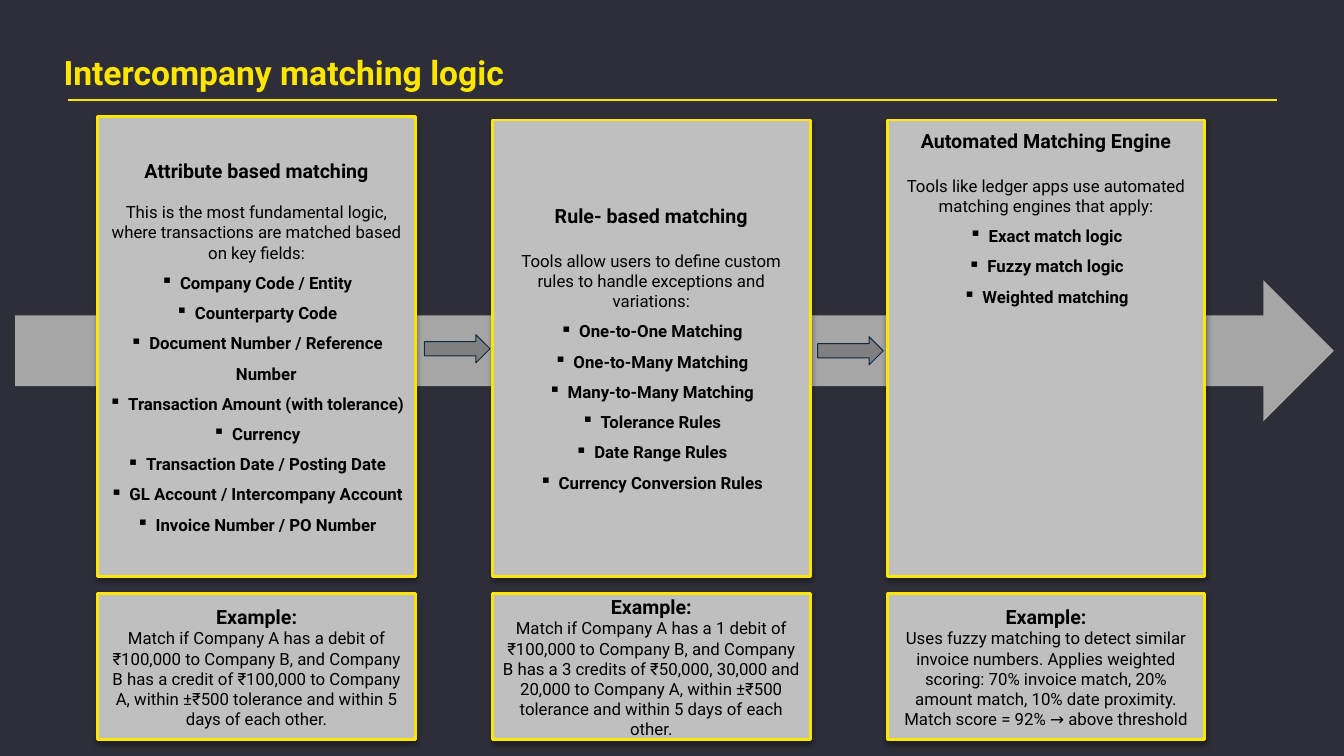
from lxml import etree
from pptx import Presentation
from pptx.dml.color import RGBColor
from pptx.enum.shapes import MSO_CONNECTOR, MSO_SHAPE
from pptx.enum.text import MSO_ANCHOR, MSO_AUTO_SIZE, PP_ALIGN
from pptx.oxml.ns import qn
from pptx.util import Inches, Pt

RECT, ARROW = MSO_SHAPE.RECTANGLE, MSO_SHAPE.RIGHT_ARROW
TOP, MIDDLE = MSO_ANCHOR.TOP, MSO_ANCHOR.MIDDLE
LEFT, CENTER = PP_ALIGN.LEFT, PP_ALIGN.CENTER
STRAIGHT, NO_FIT = MSO_CONNECTOR.STRAIGHT, MSO_AUTO_SIZE.NONE

FONT = "Roboto"
COLORS = {
    "back": "2E2E38", "accent": "FFE600", "card": "BFBFBF", "text": "000000",
    "band": "A6A6A6", "arrow": "808080", "edge": "0E2841",
}
TITLE = "Intercompany matching logic"
STEPS = [
    {
        "head": "Attribute based matching",
        "intro": "This is the most fundamental logic, where transactions are "
                 "matched based on key fields:",
        "items": [
            "Company Code / Entity", "Counterparty Code",
            "Document Number / Reference Number",
            "Transaction Amount (with tolerance)", "Currency",
            "Transaction Date / Posting Date",
            "GL Account / Intercompany Account", "Invoice Number / PO Number",
        ],
        "example": "Match if Company A has a debit of ₹100,000 to Company B, and "
                   "Company B has a credit of ₹100,000 to Company A, within ±₹500 "
                   "tolerance and within 5 days of each other.",
        "top": 1.16, "gap": 14, "anchor": MIDDLE,
    },
    {
        "head": "Rule- based matching",
        "intro": "Tools allow users to define custom rules to handle exceptions "
                 "and variations:",
        "items": [
            "One-to-One Matching", "One-to-Many Matching",
            "Many-to-Many Matching", "Tolerance Rules", "Date Range Rules",
            "Currency Conversion Rules",
        ],
        "example": "Match if Company A has a 1 debit of ₹100,000 to Company B, and "
                   "Company B has a 3 credits of ₹50,000, 30,000 and 20,000 to "
                   "Company A, within ±₹500 tolerance and within 5 days of each "
                   "other.",
        "top": 1.19, "gap": 16.4, "anchor": MIDDLE,
    },
    {
        "head": "Automated Matching Engine",
        "intro": "Tools like ledger apps use automated matching engines that apply:",
        "items": ["Exact match logic", "Fuzzy match logic", "Weighted matching"],
        "example": "Uses fuzzy matching to detect similar invoice numbers. Applies "
                   "weighted scoring: 70% invoice match, 20% amount match, 10% date "
                   "proximity. Match score = 92% → above threshold",
        "top": 1.19, "gap": 16.4, "anchor": TOP,
    },
]
CARD_X, CARD_W, PITCH = 0.97, 3.15, 3.915
CARD_END, CASE_TOP, CASE_H = 5.72, 5.89, 1.45
ARROWS = [(4.21, 3.32), (8.11, 3.34)]


def color(name):
    return RGBColor.from_string(COLORS[name])


def add_text(para, text, size, bold, tint="text"):
    run = para.add_run()
    run.text = text
    font = run.font
    font.name, font.size, font.bold = FONT, Pt(size), bold
    font.color.rgb = color(tint)


def add_bullet(para):
    props = para._p.get_or_add_pPr()
    props.set("marL", str(Inches(0.19)))
    props.set("indent", str(-Inches(0.19)))
    etree.SubElement(props, qn("a:buChar")).set("char", "▪")
    para.line_spacing = 1.5


def add_shape(kind, x, y, w, h, fill, edge=None, width=0):
    shape = slide.shapes.add_shape(kind, Inches(x), Inches(y), Inches(w), Inches(h))
    shape.shadow.inherit = False
    shape.fill.solid()
    shape.fill.fore_color.rgb = color(fill)
    if edge:
        shape.line.color.rgb = color(edge)
        shape.line.width = Pt(width)
    else:
        shape.line.fill.background()
    return shape


def add_shadow(shape):
    effects = shape._element.spPr.find(qn("a:effectLst"))
    outer = etree.SubElement(effects, qn("a:outerShdw"), blurRad=str(Pt(3.5)),
                             dist=str(Pt(2.2)), dir="5400000", rotWithShape="0")
    tint = etree.SubElement(outer, qn("a:srgbClr"), val=COLORS["text"])
    etree.SubElement(tint, qn("a:alpha"), val="32000")


def add_card(x, y, h, anchor, lines):
    """Draw a card; each line is (text, size, bold, space before, bulleted)."""
    card = add_shape(RECT, x, y, CARD_W, h, "card", "accent", 2)
    add_shadow(card)
    frame = card.text_frame
    frame.word_wrap = True
    frame.vertical_anchor = anchor
    frame.margin_left = frame.margin_right = Inches(0.09)
    frame.margin_top = frame.margin_bottom = Inches(0.09)
    for i, (text, size, bold, gap, listed) in enumerate(lines):
        para = frame.add_paragraph() if i else frame.paragraphs[0]
        para.alignment = CENTER
        if listed:
            add_bullet(para)
        if gap:
            para.space_before = Pt(gap)
        add_text(para, text, size, bold)


deck = Presentation()
deck.slide_width, deck.slide_height = Inches(13.33), Inches(7.5)
slide = deck.slides.add_slide(deck.slide_layouts[5])
slide.background.fill.solid()
slide.background.fill.fore_color.rgb = color("back")

title = slide.shapes.title
title.left, title.top = Inches(0.63), Inches(0.51)
title.width, title.height = Inches(12.67), Inches(0.65)
frame = title.text_frame
frame.auto_size, frame.word_wrap, frame.vertical_anchor = NO_FIT, True, TOP
frame.margin_left = frame.margin_right = frame.margin_top = frame.margin_bottom = 0
frame.paragraphs[0].alignment = LEFT
add_text(frame.paragraphs[0], TITLE, 24, True, "accent")

rule = slide.shapes.add_connector(STRAIGHT, Inches(0.67), Inches(0.99),
                                  Inches(12.67), Inches(0.99))
rule.line.color.rgb = color("accent")
rule.line.width = Pt(1.5)
etree.SubElement(rule._element.spPr, qn("a:effectLst"))

add_shape(ARROW, 0.15, 2.78, 13.08, 1.4, "band")
for i, step in enumerate(STEPS):
    x = CARD_X + i * PITCH
    lines = [(step["head"], 14, True, 0, False),
             (step["intro"], 12, False, step["gap"], False)]
    lines += [(item, 12, True, 0, True) for item in step["items"]]
    add_card(x, step["top"], CARD_END - step["top"], step["anchor"], lines)
    add_card(x, CASE_TOP, CASE_H, MIDDLE,
             [("Example:", 14, True, 0, False),
              (step["example"], 12, False, 0, False)])
for x, y in ARROWS:
    add_shape(ARROW, x, y, 0.65, 0.28, "arrow", "edge", 0.75)

deck.save("out.pptx")
